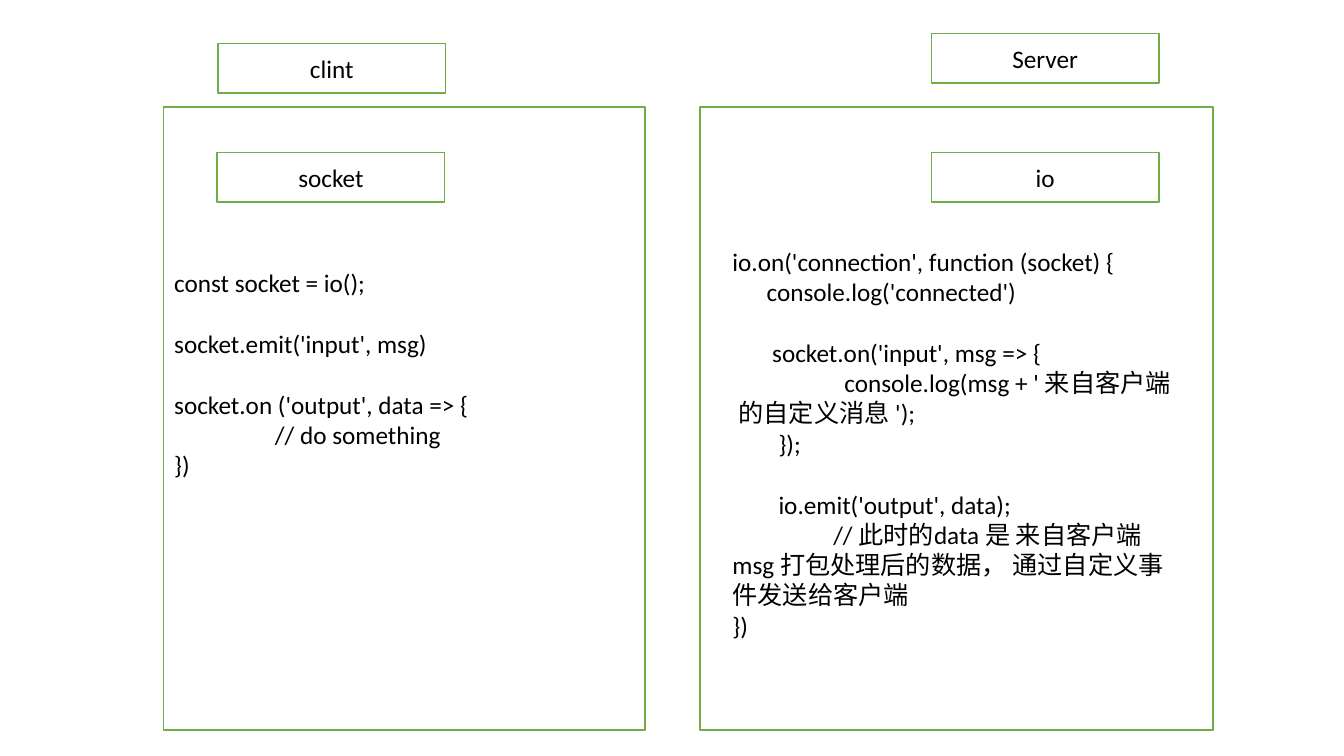
from pptx import Presentation
from pptx.dml.color import RGBColor
from pptx.enum.shapes import MSO_SHAPE
from pptx.enum.text import MSO_ANCHOR, MSO_AUTO_SIZE, PP_ALIGN
from pptx.util import Cm, Pt

WHITE = RGBColor(255, 255, 255)
BLACK = RGBColor(0, 0, 0)
GREEN = RGBColor(112, 173, 71)


def write(par, text, font="Calibri", size=18, color=BLACK,
          align=PP_ALIGN.LEFT, left=0, first=0, gap=0):
    run = par.add_run()
    run.text = text
    run.font.name = font
    run.font.size = Pt(size)
    run.font.color.rgb = color
    par.alignment = align
    par.space_before = Pt(gap)
    props = par._p.get_or_add_pPr()
    props.set("marL", str(Cm(left)))
    props.set("indent", str(Cm(first)))


class Board:
    def __init__(self, slide, fill=WHITE, line=GREEN, width=1):
        self.slide = slide
        self.fill = fill
        self.line = line
        self.width = width

    def panel(self, left, top, width, height):
        box = self.slide.shapes.add_shape(
            MSO_SHAPE.RECTANGLE, Cm(left), Cm(top), Cm(width), Cm(height))
        box.shadow.inherit = False
        box.fill.solid()
        box.fill.fore_color.rgb = self.fill
        box.line.color.rgb = self.line
        box.line.width = Pt(self.width)
        return box

    def label(self, text, left, top):
        frame = self.panel(left, top, 5.74, 1.25).text_frame
        frame.vertical_anchor = MSO_ANCHOR.MIDDLE
        write(frame.paragraphs[0], text, align=PP_ALIGN.CENTER)

    def code(self, lines, left, top, width, height):
        box = self.slide.shapes.add_textbox(
            Cm(left), Cm(top), Cm(width), Cm(height))
        frame = box.text_frame
        frame.word_wrap = True
        frame.auto_size = MSO_AUTO_SIZE.SHAPE_TO_FIT_TEXT
        for index, (text, style) in enumerate(lines):
            par = frame.add_paragraph() if index else frame.paragraphs[0]
            write(par, text, **style)


def main():
    deck = Presentation()
    deck.slide_width = Cm(33.87)
    deck.slide_height = Cm(19.05)
    board = Board(deck.slides.add_slide(deck.slide_layouts[6]))

    for left, width in ((4.12, 12.14), (17.64, 12.93)):
        board.panel(left, 2.7, width, 15.7)

    for text, left, top in (("clint", 5.49, 1.1), ("Server", 23.47, 0.84),
                            ("socket", 5.47, 3.84), ("io", 23.47, 3.84)):
        board.label(text, left, top)

    blank = 22
    board.code([
        ("io.on('connection', function (socket) {", {}),
        ("console.log('connected')", {"left": 0.86}),
        ("socket.on('input', msg => {", {"left": 1, "gap": blank}),
        ("console.log(msg + ' 来自客户端的自定义消息 ');",
         {"left": 0.15, "first": 2.67}),
        ("});", {"left": 1.16}),
        ("io.emit('output', data);", {"left": 1.16, "gap": blank}),
        ("// 此时的data 是 来自客户端msg 打包处理后的数据， 通过自定义事件发送给客户端",
         {"first": 2.54}),
        ("})", {}),
    ], 18.21, 6.07, 11.81, 10.26)

    board.code([
        ("const socket = io();", {}),
        ("socket.emit('input', msg)", {"gap": blank}),
        ("socket.on ('output', data => {", {"gap": blank}),
        ("// do something", {"left": 2.54}),
        ("})", {}),
    ], 4.14, 6.6, 12.09, 5.64)

    deck.save("out.pptx")


if __name__ == "__main__":
    main()
